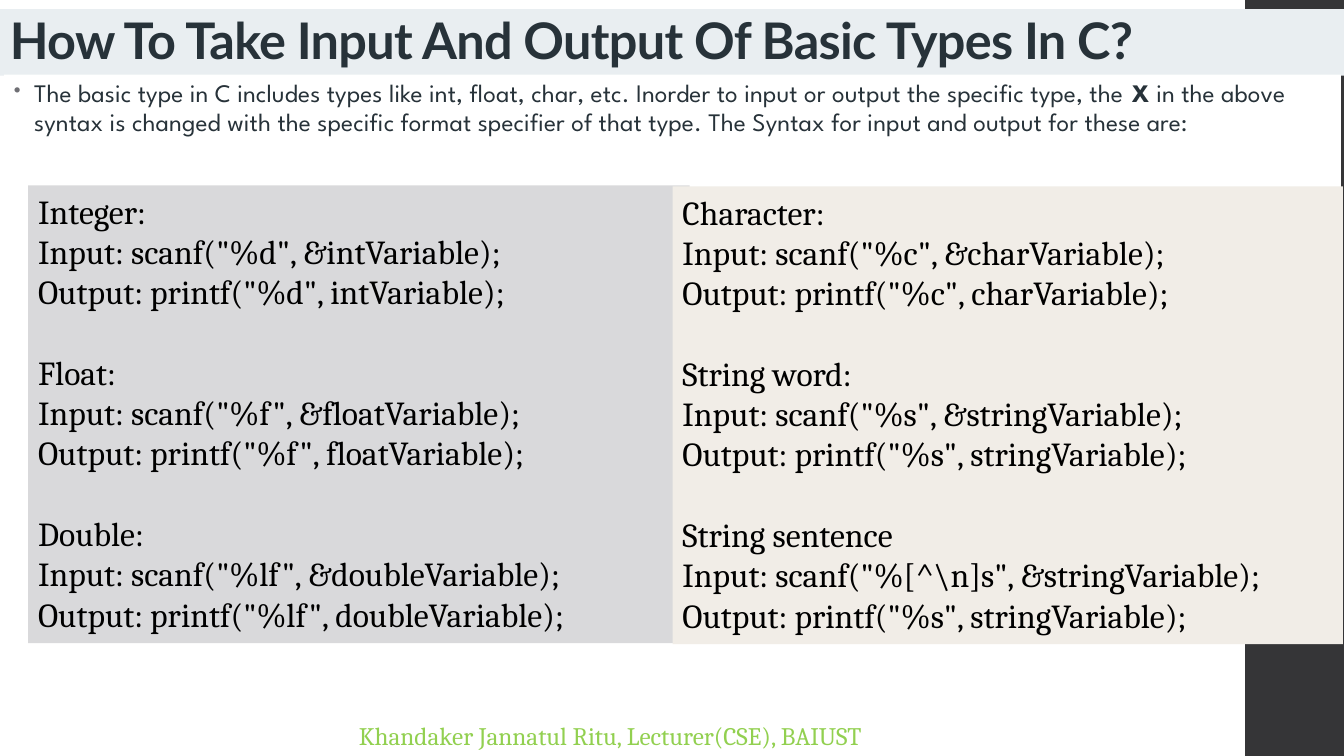
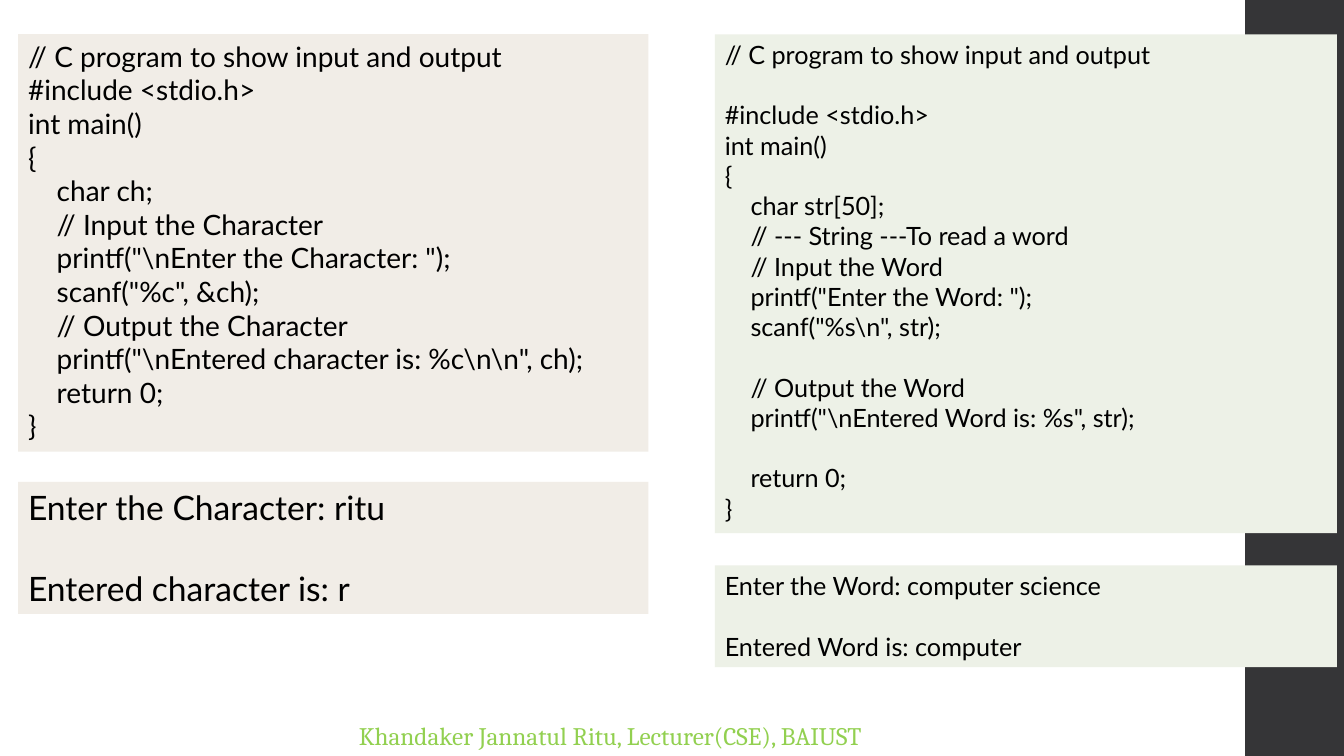
from lxml import etree
from pptx import Presentation
from pptx.dml.color import RGBColor
from pptx.enum.shapes import MSO_SHAPE
from pptx.enum.text import MSO_ANCHOR
from pptx.oxml.ns import qn
from pptx.util import Inches, Pt

RECTANGLE = MSO_SHAPE.RECTANGLE
TOP, BOTTOM = MSO_ANCHOR.TOP, MSO_ANCHOR.BOTTOM

# Shared colours and fonts
WHITE = RGBColor(0xFF, 0xFF, 0xFF)
BLACK = RGBColor(0x00, 0x00, 0x00)
CHARCOAL = RGBColor(0x35, 0x35, 0x37)
SLATE = RGBColor(0x27, 0x32, 0x39)
TITLE_BAND = RGBColor(0xE9, 0xEE, 0xF1)
FOOTER_GREEN = RGBColor(0x92, 0xD0, 0x50)
GREY = RGBColor(0xD9, 0xD9, 0xDB)
SAND = RGBColor(0xF1, 0xED, 0xE7)
SAGE = RGBColor(0xED, 0xF1, 0xE7)
BULLET_GREY = "6F6F74"
SERIF, SANS, ROUND = "Cambria", "Lato", "League Spartan"
LINE_HEIGHT = 1.2

# Panel texts; an empty line separates groups
NUMBER_SYNTAX = r"""Integer:
Input: scanf("%d", &intVariable);
Output: printf("%d", intVariable);

Float:
Input: scanf("%f", &floatVariable);
Output: printf("%f", floatVariable);

Double:
Input: scanf("%lf", &doubleVariable);
Output: printf("%lf", doubleVariable);"""

TEXT_SYNTAX = r"""Character:
Input: scanf("%c", &charVariable);
Output: printf("%c", charVariable);

String word:
Input: scanf("%s", &stringVariable);
Output: printf("%s", stringVariable);

String sentence
Input: scanf("%[^\n]s", &stringVariable);
Output: printf("%s", stringVariable);"""

CHARACTER_PROGRAM = r"""// C program to show input and output
#include <stdio.h>
int main()
{
    char ch;
    // Input the Character
    printf("\nEnter the Character: ");
    scanf("%c", &ch);
    // Output the Character
    printf("\nEntered character is: %c\n\n", ch);
    return 0;
}"""

CHARACTER_RESULT = """Enter the Character: ritu

Entered character is: r"""

WORD_PROGRAM = r"""// C program to show input and output

#include <stdio.h>
int main()
{
    char str[50];
    // --- String ---To read a word
    // Input the Word
    printf("Enter the Word: ");
    scanf("%s\n", str);

    // Output the Word
    printf("\nEntered Word is: %s", str);

    return 0;
}"""

WORD_RESULT = """Enter the Word: computer science

Entered Word is: computer"""


def add_text_box(slide, box, fill=None, anchor=TOP):
    """Add a wrapping text box, given as left, top, width, height in inches."""
    shape = slide.shapes.add_textbox(*map(Inches, box))
    if fill is not None:
        shape.fill.solid()
        shape.fill.fore_color.rgb = fill
    shape.text_frame.word_wrap = True
    shape.text_frame.vertical_anchor = anchor
    return shape.text_frame


def style(paragraph, size, name, color):
    font = paragraph.font
    font.size, font.name = Pt(size), name
    font.color.rgb = color


def add_run(paragraph, text, tracking, bold=None):
    """Add a run with letter spacing in hundredths of a point."""
    run = paragraph.add_run()
    run.text = text
    run.font.bold = bold
    run._r.get_or_add_rPr().set("spc", str(tracking))


def add_bullet(paragraph):
    properties = paragraph._p.get_or_add_pPr()
    properties.set("marL", str(Inches(0.2)))
    properties.set("indent", str(-Inches(0.2)))
    color = etree.SubElement(properties, qn("a:buClr"))
    etree.SubElement(color, qn("a:srgbClr"), val=BULLET_GREY)
    etree.SubElement(properties, qn("a:buSzPct"), val="80000")
    etree.SubElement(properties, qn("a:buChar"), char="•")


def add_panel(slide, box, fill, text, size, name):
    """Add a filled panel whose groups of lines stand one line apart."""
    frame = add_text_box(slide, box, fill)
    for group_index, group in enumerate(text.split("\n\n")):
        for line_index, line in enumerate(group.split("\n")):
            first = group_index == line_index == 0
            paragraph = frame.paragraphs[0] if first else frame.add_paragraph()
            paragraph.text = line
            if group_index and line_index == 0:
                paragraph.space_before = Pt(size * LINE_HEIGHT)
            style(paragraph, size, name, BLACK)


def add_title(slide, text):
    frame = add_text_box(slide, (0, 0.09, 13.33, 0.66), TITLE_BAND, BOTTOM)
    paragraph = frame.paragraphs[0]
    add_run(paragraph, text, -50, True)
    paragraph.line_spacing = 0.9
    style(paragraph, 36, SANS, SLATE)


def add_body(slide, parts):
    """Add the bulleted introduction from (text, bold) parts."""
    frame = add_text_box(slide, (0.04, 0.74, 13.26, 1.84), WHITE)
    paragraph = frame.paragraphs[0]
    add_bullet(paragraph)
    for text, bold in parts:
        add_run(paragraph, text, 10, bold)
    paragraph.line_spacing = 0.95
    style(paragraph, 18, ROUND, SLATE)


def add_side_band(slide):
    band = slide.shapes.add_shape(
        RECTANGLE, Inches(12.35), 0, Inches(0.98), Inches(7.5))
    band.shadow.inherit = False
    band.fill.solid()
    band.fill.fore_color.rgb = CHARCOAL
    band.line.fill.background()


def add_footer(slide):
    paragraph = add_text_box(slide, (3.46, 7.1, 7.41, 0.4)).paragraphs[0]
    paragraph.text = "Khandaker Jannatul Ritu, Lecturer(CSE), BAIUST"
    style(paragraph, 18, SERIF, FOOTER_GREEN)


def new_slide(presentation):
    slide = presentation.slides.add_slide(presentation.slide_layouts[6])
    add_side_band(slide)
    add_footer(slide)
    return slide


def main():
    presentation = Presentation()
    presentation.slide_width = Inches(13.33)
    presentation.slide_height = Inches(7.5)

    # Syntax for the basic types
    slide = new_slide(presentation)
    add_title(slide, "How To Take Input And Output Of Basic Types In C?")
    add_body(slide, [
        ("The basic type in C includes types like int, float, char, etc. "
         "Inorder to input or output the specific type, the ", False),
        ("X", True),
        (" in the above syntax is changed with the specific format specifier "
         "of that type. The Syntax for input and output for these are:", False),
    ])
    add_panel(slide, (0.28, 1.84, 6.56, 4.54), GREY, NUMBER_SYNTAX, 24, SERIF)
    add_panel(slide, (6.67, 1.85, 6.65, 4.54), SAND, TEXT_SYNTAX, 24, SERIF)

    # Two programs, each above its result
    slide = new_slide(presentation)
    for left, top, width, height, fill, text, size in (
        (0.18, 0.34, 6.25, 4.14, SAND, CHARACTER_PROGRAM, 20),
        (0.18, 4.78, 6.25, 1.31, SAND, CHARACTER_RESULT, 24),
        (7.09, 0.34, 6.17, 4.95, SAGE, WORD_PROGRAM, 18),
        (7.09, 5.61, 6.17, 1.01, SAGE, WORD_RESULT, 18),
    ):
        add_panel(slide, (left, top, width, height), fill, text, size, SANS)

    presentation.save("out.pptx")


if __name__ == "__main__":
    main()
